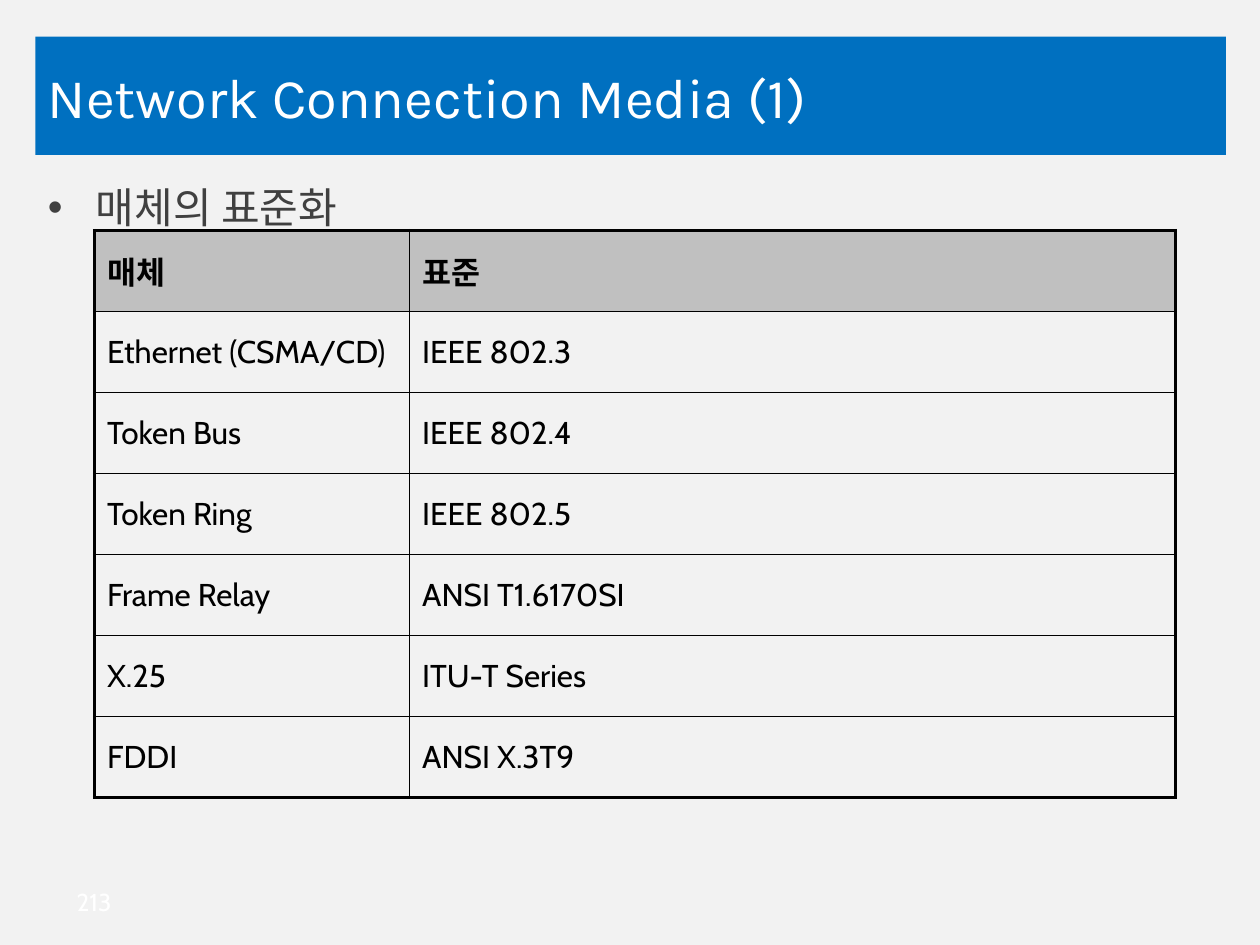
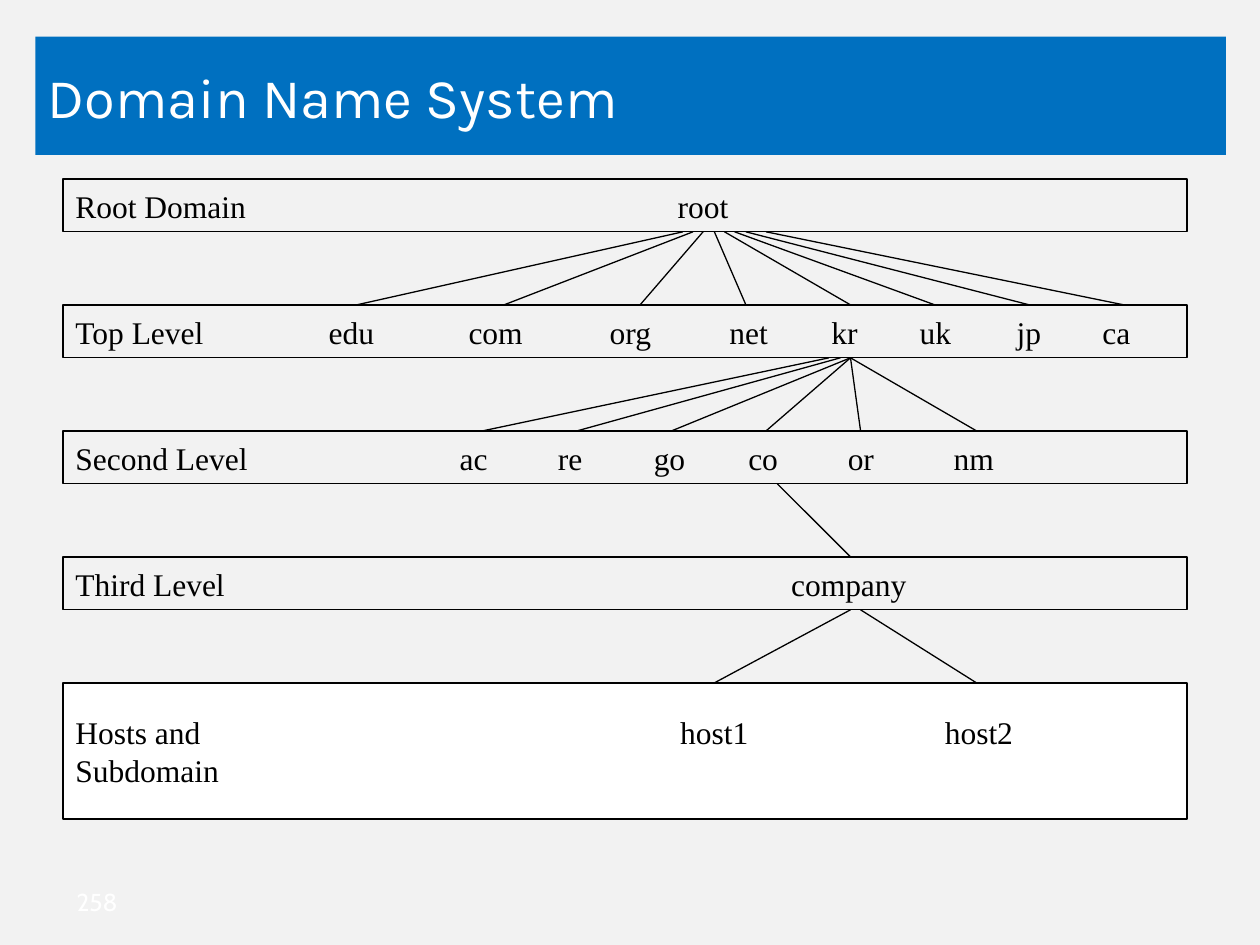
from lxml.etree import SubElement as Sub
from pptx import Presentation
from pptx.dml.color import RGBColor as RGB
from pptx.enum.shapes import MSO_CONNECTOR as LINK, MSO_SHAPE as SHAPE
from pptx.enum.text import MSO_ANCHOR as ANCHOR, PP_ALIGN as ALIGN
from pptx.oxml.ns import qn
from pptx.util import Inches, Pt

HUES = {
    "page": "F2F2F2", "band": "0070C0", "white": "FFFFFF",
    "body": "404040", "head": "C0C0C0", "ink": "000000",
}
MEDIA = [
    ("매체", "표준"),
    ("Ethernet (CSMA/CD)", "IEEE 802.3"),
    ("Token Bus", "IEEE 802.4"),
    ("Token Ring", "IEEE 802.5"),
    ("Frame Relay", "ANSI T1.6170SI"),
    ("X.25", "ITU-T Series"),
    ("FDDI", "ANSI X.3T9"),
]
BAR_LEFT, BAR_TOP, BAR_WIDE, BAR_HIGH, HOST_HIGH = 0.5, 1.42, 8.92, 0.42, 1.08
INSET = 0.1
LEVELS = [
    (["Root Domain"], [("root", 5.38)]),
    (["Top Level"], [("edu", 2.61), ("com", 3.72), ("org", 4.84), ("net", 5.79),
                     ("kr", 6.6), ("uk", 7.3), ("jp", 8.07), ("ca", 8.75)]),
    (["Second Level"], [("ac", 3.65), ("re", 4.43), ("go", 5.19), ("co", 5.94),
                        ("or", 6.73), ("nm", 7.57)]),
    (["Third Level"], [("company", 6.28)]),
    (["Hosts and", "Subdomain"], [("host1", 5.4), ("host2", 7.5)]),
]
LINKS = [
    [(5.42, 2.83), (5.5, 4), (5.58, 5.08), (5.67, 5.92),
     (5.75, 6.75), (5.83, 7.42), (5.92, 8.17), (6.08, 8.92)],
    [(6.58, 3.83), (6.67, 4.58), (6.75, 5.33), (6.75, 6.08),
     (6.75, 6.83), (6.75, 7.75)],
    [(6.17, 6.75)],
    [(6.75, 5.67), (6.83, 7.75)],
]


def hue(name):
    return RGB.from_string(HUES[name])


def place(shape, *box):
    shape.left, shape.top, shape.width, shape.height = map(Inches, box)


def write(par, text, font, size, color="ink", bold=False):
    run = par.add_run()
    run.text = text
    run.font.name = font
    run.font.size = Pt(size)
    run.font.bold = bold
    run.font.color.rgb = hue(color)


def add_page(deck, plan, title, number):
    slide = deck.slides.add_slide(deck.slide_layouts[plan])
    head = slide.shapes.title
    place(head, 0.28, 0.29, 9.45, 0.94)
    head.fill.solid()
    head.fill.fore_color.rgb = hue("band")
    frame = head.text_frame
    frame.vertical_anchor = ANCHOR.MIDDLE
    par = frame.paragraphs[0]
    par.alignment = ALIGN.LEFT
    write(par, title, "Karla", 32, "white")
    note = slide.shapes.add_textbox(*map(Inches, (0.51, 6.96, 1, 0.4)))
    note.text_frame.word_wrap = True
    note.text_frame.vertical_anchor = ANCHOR.MIDDLE
    write(note.text_frame.paragraphs[0], number, "Cabin", 14, "white")
    return slide


def add_list(slide, lines):
    body = slide.placeholders[1]
    place(body, 0.28, 1.39, 9.45, 5.28)
    frame = body.text_frame
    for i, line in enumerate(lines):
        par = frame.add_paragraph() if i else frame.paragraphs[0]
        props = par._p.get_or_add_pPr()
        props.set("marL", str(Inches(0.38)))
        props.set("indent", str(-Inches(0.38)))
        write(par, line, "Calibri", 24, "body")


def edge(cell, side, width):
    line = Sub(cell._tc.get_or_add_tcPr(), qn(f"a:ln{side}"), w=str(Pt(width)))
    fill = Sub(line, qn("a:solidFill"))
    Sub(fill, qn("a:srgbClr"), val=HUES["ink"])


def add_grid(slide, rows, widths):
    last, end = len(rows) - 1, len(widths) - 1
    box = map(Inches, (0.75, 1.83, sum(widths), 4.5))
    grid = slide.shapes.add_table(len(rows), len(widths), *box).table
    grid.first_row = grid.horz_banding = False
    for col, width in zip(grid.columns, widths):
        col.width = Inches(width)
    for r, row in enumerate(rows):
        for c, text in enumerate(row):
            cell = grid.cell(r, c)
            outer = {"L": c == 0, "R": c == end, "T": r == 0, "B": r == last}
            for side, thick in outer.items():
                edge(cell, side, 2.25 if thick else 1)
            if r == 0:
                cell.fill.solid()
                cell.fill.fore_color.rgb = hue("head")
            else:
                cell.fill.background()
            cell.vertical_anchor = ANCHOR.MIDDLE
            par = cell.text_frame.paragraphs[0]
            par.space_before = Pt(3.6)
            write(par, text, "Cabin", 18, bold=r == 0)


def add_bar(slide, top, high, lines, names, filled):
    box = map(Inches, (BAR_LEFT, top, BAR_WIDE, high))
    bar = slide.shapes.add_shape(SHAPE.RECTANGLE, *box)
    bar.shadow.inherit = False
    if filled:
        bar.fill.solid()
        bar.fill.fore_color.rgb = hue("white")
    else:
        bar.fill.background()
    bar.line.color.rgb = hue("ink")
    bar.line.width = Pt(0.75)
    frame = bar.text_frame
    frame.word_wrap = True
    frame.vertical_anchor = ANCHOR.MIDDLE
    for i, line in enumerate(lines):
        par = frame.add_paragraph() if i else frame.paragraphs[0]
        par.alignment = ALIGN.LEFT
        write(par, line, "Times New Roman", 18)
    first = frame.paragraphs[0]
    tabs = Sub(first._p.get_or_add_pPr(), qn("a:tabLst"))
    for name, left in names:
        stop = Inches(left - BAR_LEFT - INSET)
        Sub(tabs, qn("a:tab"), pos=str(stop), algn="l")
        write(first, "\t" + name, "Times New Roman", 18)


def add_link(slide, *ends):
    link = slide.shapes.add_connector(LINK.STRAIGHT, *map(Inches, ends))
    link.line.color.rgb = hue("ink")
    link.line.width = Pt(0.75)
    Sub(link._element.spPr, qn("a:effectLst"))


def add_tree(slide):
    for i, (lines, names) in enumerate(LEVELS):
        host = i == len(LEVELS) - 1
        high = HOST_HIGH if host else BAR_HIGH
        add_bar(slide, BAR_TOP + i, high, lines, names, host)
    for i, pairs in enumerate(LINKS):
        top = BAR_TOP + i
        for start, end in pairs:
            add_link(slide, start, top + BAR_HIGH, end, top + 1)


def main():
    deck = Presentation()
    deck.slide_width, deck.slide_height = Inches(10), Inches(7.5)
    back = deck.slide_master.background.fill
    back.solid()
    back.fore_color.rgb = hue("page")

    media = add_page(deck, 1, "Network Connection Media (1)", "213")
    add_list(media, ["매체의 표준화"])
    add_grid(media, MEDIA, [2.5, 6.08])

    names = add_page(deck, 5, "Domain Name System", "258")
    add_tree(names)
    deck.save("out.pptx")


if __name__ == "__main__":
    main()
